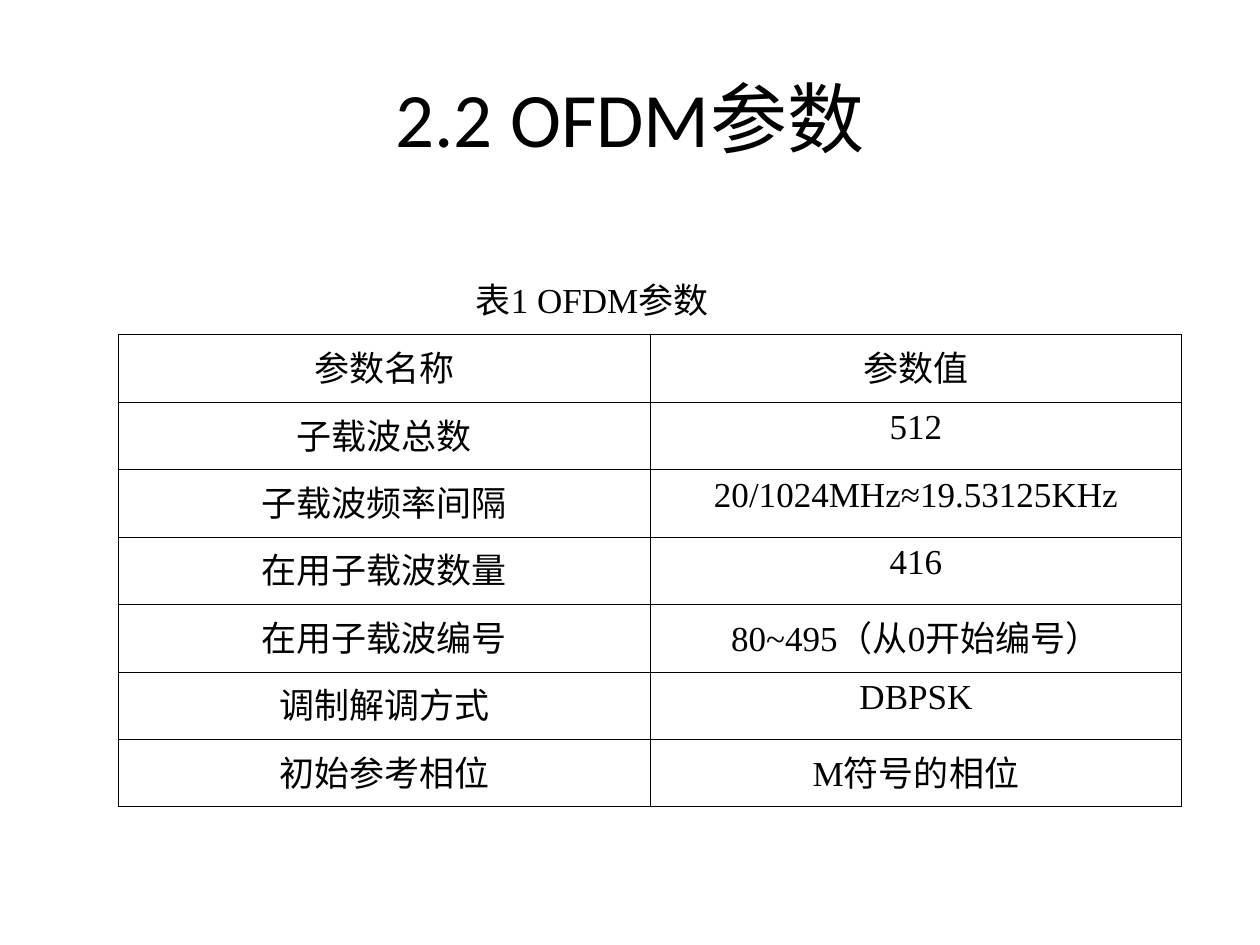
import pptx
import pptx.dml.color
import pptx.enum.text
import pptx.oxml
import pptx.oxml.ns
import pptx.util

COLORS = {"ink": "000000", "paper": "FFFFFF"}
BODY_FONT = "Times New Roman"
BODY_SIZE = 20

PARAMETERS = [
    ("参数名称", "参数值"),
    ("子载波总数", "512"),
    ("子载波频率间隔", "20/1024MHz≈19.53125KHz"),
    ("在用子载波数量", "416"),
    ("在用子载波编号", "80~495（从0开始编号）"),
    ("调制解调方式", "DBPSK"),
    ("初始参考相位", "M符号的相位"),
]


class SlideBuilder:
    """Places styled elements on a grid of 20 columns by 15 rows."""

    columns, rows = 20, 15

    def __init__(self, deck):
        self.cell_width = deck.slide_width / self.columns
        self.cell_height = deck.slide_height / self.rows
        self.slide = deck.slides.add_slide(deck.slide_layouts[6])
        background = self.slide.background.fill
        background.solid()
        background.fore_color.rgb = self.color("paper")

    def color(self, name):
        return pptx.dml.color.RGBColor.from_string(COLORS[name])

    def area(self, column, row, width, height):
        """Turn grid units into left, top, width and height."""
        return (round(column * self.cell_width), round(row * self.cell_height),
                round(width * self.cell_width), round(height * self.cell_height))

    def set_words(self, frame, words, size=BODY_SIZE, font=BODY_FONT):
        paragraph = frame.paragraphs[0]
        paragraph.text = words
        paragraph.alignment = pptx.enum.text.PP_ALIGN.CENTER
        paragraph.font.size = pptx.util.Pt(size)
        paragraph.font.name = font
        paragraph.font.color.rgb = self.color("ink")

    def text(self, words, area, **style):
        frame = self.slide.shapes.add_textbox(*self.area(*area)).text_frame
        frame.word_wrap = True
        frame.vertical_anchor = pptx.enum.text.MSO_ANCHOR.MIDDLE
        self.set_words(frame, words, **style)

    def border(self, cell, width=0.45):
        """Draw all four edges of a cell; edges must come before its fill."""
        properties = cell._tc.get_or_add_tcPr()
        for place, side in enumerate(("lnL", "lnR", "lnT", "lnB")):
            properties.insert(place, pptx.oxml.parse_xml(
                f'<a:{side} {pptx.oxml.ns.nsdecls("a")} w="{pptx.util.Pt(width)}">'
                f'<a:solidFill><a:srgbClr val="{COLORS["ink"]}"/></a:solidFill>'
                f'</a:{side}>'))

    def table(self, records, area):
        frame = self.slide.shapes.add_table(
            len(records), len(records[0]), *self.area(*area))
        grid = frame.table
        grid.first_row = grid.horz_banding = False
        for row, record in enumerate(records):
            for column, words in enumerate(record):
                cell = grid.cell(row, column)
                cell.margin_left = cell.margin_right = pptx.util.Inches(0.08)
                cell.margin_top = cell.margin_bottom = pptx.util.Inches(0.05)
                cell.fill.background()
                self.border(cell)
                self.set_words(cell.text_frame, words)


def main():
    deck = pptx.Presentation()
    deck.slide_width = pptx.util.Inches(10)
    deck.slide_height = pptx.util.Inches(7.5)

    builder = SlideBuilder(deck)
    builder.text("2.2 OFDM参数", (1, 0.6, 18, 2.5), size=44, font="Calibri")
    builder.text("表1 OFDM参数", (5.4, 4.3, 8, 0.9))
    builder.table(PARAMETERS, (1.88, 5.31, 16.88, 7.5))

    deck.save("out.pptx")


if __name__ == "__main__":
    main()
